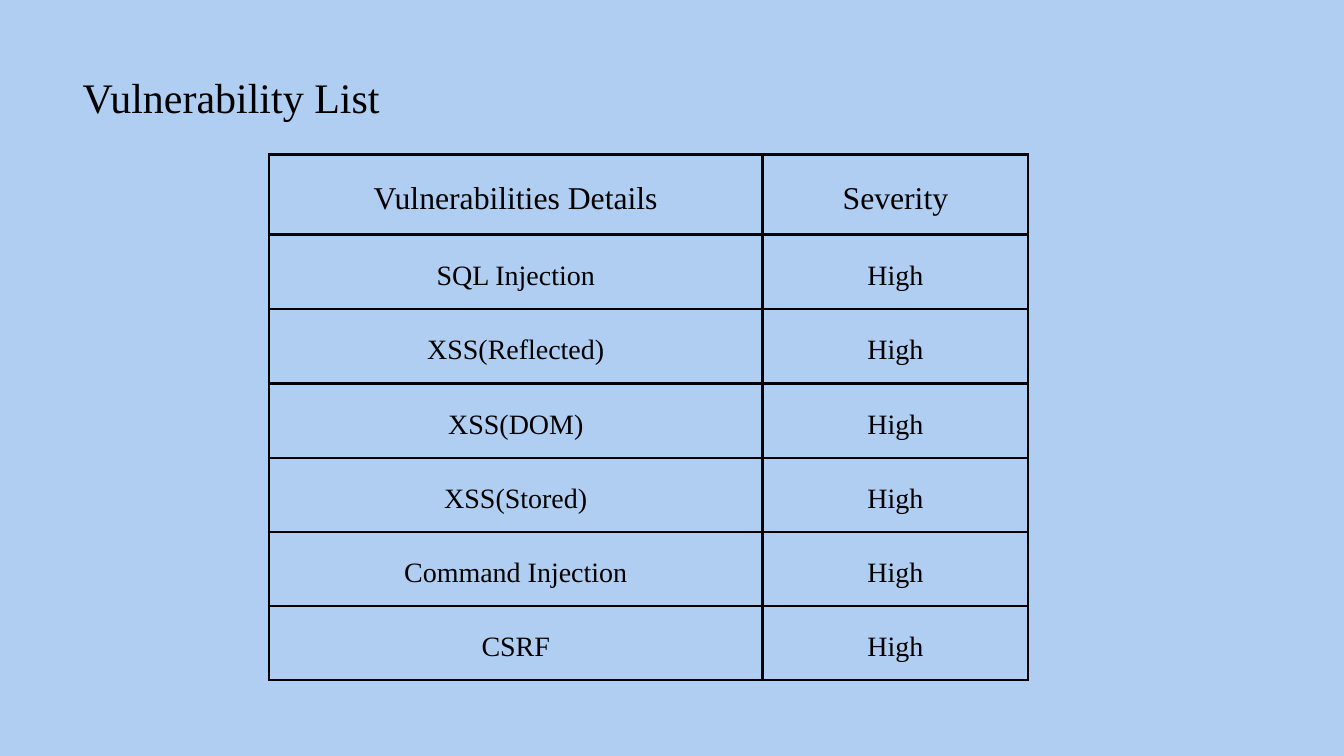
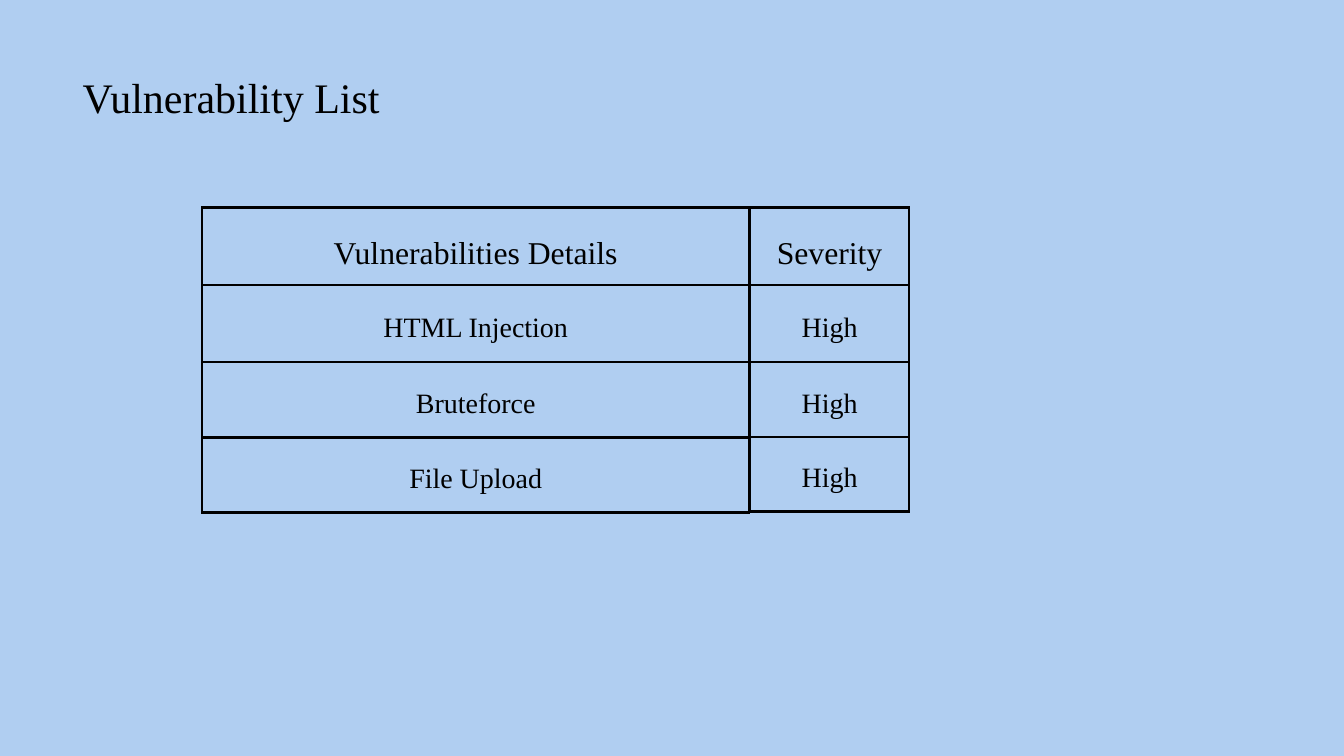
from lxml import etree
from pptx import Presentation
from pptx.dml.color import RGBColor
from pptx.enum.text import MSO_ANCHOR, MSO_AUTO_SIZE, PP_ALIGN
from pptx.oxml.ns import qn
from pptx.util import Inches, Pt

CENTER = PP_ALIGN.CENTER
MIDDLE = MSO_ANCHOR.MIDDLE
FIT_SHAPE = MSO_AUTO_SIZE.SHAPE_TO_FIT_TEXT

SKY = RGBColor(0xB0, 0xCE, 0xF1)
BLACK = RGBColor(0, 0, 0)
FONT = "Times New Roman"
TITLE_SIZE, HEAD_SIZE, BODY_SIZE = 45, 34, 30
LINE_RATIO = 1.4
CELL_INSET = Inches(0.21)
BORDER = Pt(3)
HEADINGS = ("Vulnerabilities Details", "Severity")


def write(tf, text, *, size, color=BLACK, align=CENTER):
    """Put one formatted line of text in a text frame."""
    p = tf.paragraphs[0]
    p.alignment = align
    p.line_spacing = Pt(size * LINE_RATIO)
    r = p.add_run()
    r.text = text
    r.font.name = FONT
    r.font.size = Pt(size)
    r.font.color.rgb = color


def add_borders(cell):
    """Draw a solid line on all four sides of a cell."""
    tc_pr = cell._tc.get_or_add_tcPr()
    for side in ("a:lnL", "a:lnR", "a:lnT", "a:lnB"):
        ln = etree.SubElement(tc_pr, qn(side), w=str(BORDER))
        fill = etree.SubElement(ln, qn("a:solidFill"))
        etree.SubElement(fill, qn("a:srgbClr"), val=str(BLACK))


def format_cell(cell, text, size):
    """Fill, border and write one table cell."""
    cell.margin_left = cell.margin_right = CELL_INSET
    cell.margin_top = cell.margin_bottom = CELL_INSET
    cell.vertical_anchor = MIDDLE
    add_borders(cell)
    cell.fill.solid()
    cell.fill.fore_color.rgb = SKY
    write(cell.text_frame, text, size=size)


def add_grid(s, left, top, widths, heights, rows):
    """Add a bordered table, with larger text in a heading row."""
    frame = s.shapes.add_table(len(rows), len(widths), Inches(left), Inches(top),
                               Inches(sum(widths)), Inches(sum(heights)))
    table = frame.table
    table.first_row = table.horz_banding = False
    for column, width in zip(table.columns, widths):
        column.width = Inches(width)
    for row, height, texts in zip(table.rows, heights, rows):
        row.height = Inches(height)
        for cell, text in zip(row.cells, texts):
            format_cell(cell, text, HEAD_SIZE if text in HEADINGS else BODY_SIZE)


def add_title(s, text):
    """Add the slide title."""
    tf = s.shapes.add_textbox(Inches(1.12), Inches(0.94), Inches(4.64), Inches(0.93)).text_frame
    tf.word_wrap = True
    tf.auto_size = FIT_SHAPE
    tf.margin_left = tf.margin_right = tf.margin_top = tf.margin_bottom = 0
    write(tf, text, size=TITLE_SIZE)


def add_slide(prs):
    """Add a blank slide with the shared background."""
    s = prs.slides.add_slide(prs.slide_layouts[6])
    s.background.fill.solid()
    s.background.fill.fore_color.rgb = SKY
    return s


def build_main_list(prs):
    """Build the first list as a single table."""
    s = add_slide(prs)
    names = ("SQL Injection", "XSS(Reflected)", "XSS(DOM)", "XSS(Stored)",
             "Command Injection", "CSRF")
    rows = [HEADINGS] + [(name, "High") for name in names]
    add_grid(s, 4, 2.3, (7.35, 3.95), [1.19] + [1.11] * 3 + [1.1] * 3, rows)
    add_title(s, "Vulnerability List")


def build_further_list(prs):
    """Build the second list from stacked one-column tables."""
    s = add_slide(prs)
    add_title(s, "Vulnerability List")
    columns = ((3.01, 8.14, 1.12, ("HTML Injection", "Bruteforce", "File Upload")),
               (11.16, 2.37, 1.11, ("High",) * 3))
    for heading, (left, width, last_height, texts) in zip(HEADINGS, columns):
        first, *others = texts
        add_grid(s, left, 3.09, [width], [1.23], [[heading]])
        add_grid(s, left, 4.24, [width], [1.15], [[first]])
        add_grid(s, left, 5.39, [width], [last_height] * 2, [[text] for text in others])


def main():
    """Build and save the presentation."""
    prs = Presentation()
    prs.slide_width, prs.slide_height = Inches(20), Inches(11.25)
    build_main_list(prs)
    build_further_list(prs)
    prs.save("out.pptx")


if __name__ == "__main__":
    main()
